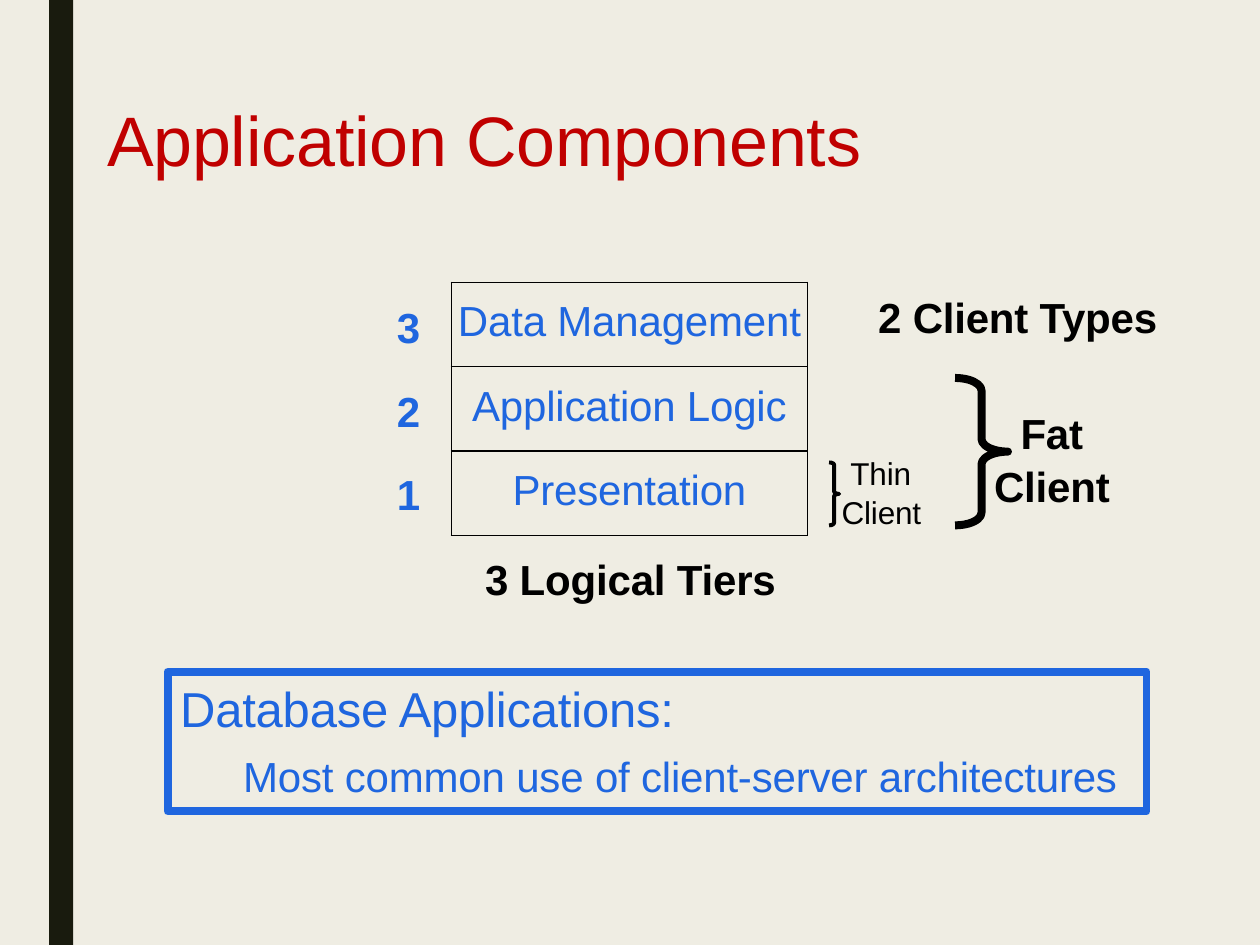
from lxml import etree
from pptx import Presentation
from pptx.dml.color import RGBColor
from pptx.enum.shapes import MSO_SHAPE
from pptx.enum.text import PP_ALIGN
from pptx.oxml.ns import qn
from pptx.util import Inches, Pt

BEIGE = RGBColor(0xEF, 0xED, 0xE3)
DARK = RGBColor(0x19, 0x1B, 0x0E)
RED = RGBColor(0xC0, 0x00, 0x00)
BLUE = RGBColor(0x1F, 0x66, 0xDF)
BLACK = RGBColor(0, 0, 0)
WIDTH, HEIGHT = 10, 7.5
TIERS = ("Data Management", "Application Logic", "Presentation")
TIER_WIDTH, TIER_HEIGHT = 2.83, 0.67


def box(left, top, width, height):
    """Turn inches into a position and size."""
    return [Inches(v) for v in (left, top, width, height)]


def set_margins(target, top):
    """Leave only a top margin, in inches."""
    margins = {"margin_left": 0, "margin_right": 0,
               "margin_top": Inches(top), "margin_bottom": 0}
    for name, value in margins.items():
        setattr(target, name, value)


def write(p, text, size, color, bold=False, spacing=-0.1):
    """Write one run of text, in which a line break is a vertical tab."""
    p.text = text
    for r in p.runs:
        for name, value in {"name": "Arial", "size": Pt(size), "bold": bold}.items():
            setattr(r.font, name, value)
        r.font.color.rgb = color
        r.font._element.set("spc", str(round(spacing * 100)))


def fill_frame(tf, lines, top=0.02):
    """Fill a frame with (text, size, color, bold, space before, left, first indent)."""
    tf.word_wrap = True
    set_margins(tf, top)
    for i, (text, size, color, bold, before, left, first) in enumerate(lines):
        p = tf.add_paragraph() if i else tf.paragraphs[0]
        write(p, text, size, color, bold)
        p.alignment = PP_ALIGN.LEFT
        p.space_before = Pt(before)
        p.line_spacing = 1.04
        pPr = p._p.get_or_add_pPr()
        pPr.set("marL", str(Inches(left)))
        pPr.set("indent", str(Inches(first)))


def add_label(slide, place, text, size=24, color=BLACK, bold=True, first=0):
    """Add a text box with one paragraph."""
    sp = slide.shapes.add_textbox(*box(*place))
    fill_frame(sp.text_frame, [(text, size, color, bold, 1, 0.01, first)])


def add_shape(slide, kind, place, fill=None, line=None, weight=1):
    """Add a preset shape with an optional fill and outline."""
    sp = slide.shapes.add_shape(kind, *box(*place))
    sp.shadow.inherit = False
    for part, color in ((sp.fill, fill), (sp.line.fill, line)):
        if color is None:
            part.background()
        else:
            part.solid()
            part.fore_color.rgb = color
    if line is not None:
        sp.line.width = Pt(weight)
    return sp


def add_brace(slide, place, weight):
    """Add a right brace whose curves are about a quarter of its width."""
    sp = add_shape(slide, MSO_SHAPE.RIGHT_BRACE, place, line=BLACK, weight=weight)
    sp.adjustments[0] = 0.24


def border_cell(cell):
    """Draw a thin black border on all sides of a cell."""
    tcPr = cell._tc.get_or_add_tcPr()
    for i, side in enumerate(("lnL", "lnR", "lnT", "lnB")):
        ln = etree.Element(qn(f"a:{side}"), w=str(Pt(0.75)))
        solid = etree.SubElement(ln, qn("a:solidFill"))
        etree.SubElement(solid, qn("a:srgbClr"), val=str(BLACK))
        tcPr.insert(i, ln)


def add_tiers(slide):
    """Add the table of logical tiers and their numbers."""
    place = box(3.58, 2.24, TIER_WIDTH, TIER_HEIGHT * len(TIERS))
    table = slide.shapes.add_table(len(TIERS), 1, *place).table
    table.first_row = table.horz_banding = False
    for row, tier in enumerate(TIERS):
        table.rows[row].height = Inches(TIER_HEIGHT)
        cell = table.cell(row, 0)
        cell.fill.background()
        set_margins(cell, 0.13)
        p = cell.text_frame.paragraphs[0]
        p.alignment = PP_ALIGN.CENTER
        write(p, tier, 24, BLUE)
        border_cell(cell)
    numbers = slide.shapes.add_textbox(*box(3.14, 2.36, 0.21, 1.72))
    fill_frame(numbers.text_frame,
               [(n, 24, BLUE, True, 1 if n == "3" else 17.8, 0.01, 0) for n in "321"])


def add_summary(slide):
    """Add the outlined box at the foot of the slide."""
    sp = add_shape(slide, MSO_SHAPE.RECTANGLE, (1.33, 5.33, 7.77, 1.11),
                   line=BLUE, weight=4.56)
    sp.text_frame.vertical_anchor = 1
    fill_frame(sp.text_frame, [
        ("Database Applications:", 28, BLUE, False, 2.9, 0.1, 0),
        ("Most common use of client-server architectures", 24, BLUE, False, 6, 0.6, 0),
    ], top=0.04)


def main():
    """Build the slide and save it."""
    prs = Presentation()
    prs.slide_width, prs.slide_height = Inches(WIDTH), Inches(HEIGHT)
    slide = prs.slides.add_slide(prs.slide_layouts[6])
    slide.background.fill.solid()
    slide.background.fill.fore_color.rgb = BEIGE

    add_shape(slide, MSO_SHAPE.RECTANGLE, (0.39, 0, 0.19, HEIGHT), fill=DARK)
    add_label(slide, (0.84, 0.72, 6.2, 0.69), "Application Components", 40, RED, False)
    add_tiers(slide)
    add_label(slide, (3.84, 4.36, 2.45, 0.43), "3 Logical Tiers")
    add_summary(slide)
    add_brace(slide, (7.58, 3, 0.42, 1.17), 4.56)
    add_brace(slide, (6.58, 3.67, 0.08, 0.5), 2.28)
    add_label(slide, (6.67, 3.57, 0.7, 0.63), "Thin\vClient", 18, bold=False, first=0.07)
    add_label(slide, (7.88, 3.2, 1, 0.83), "Fat\vClient", first=0.21)
    add_label(slide, (6.96, 2.28, 2.36, 0.43), "2 Client Types")
    prs.save("out.pptx")


main()
